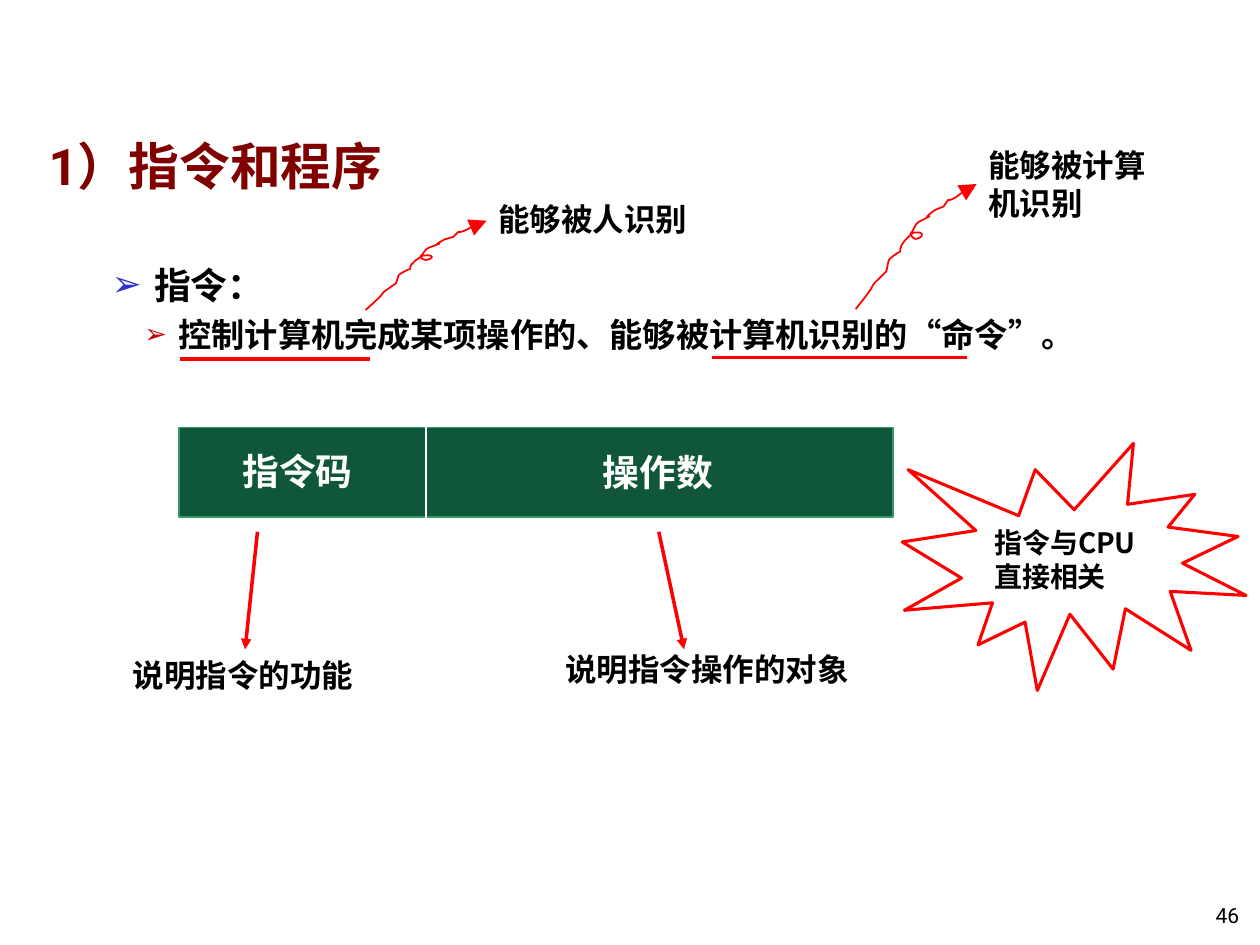
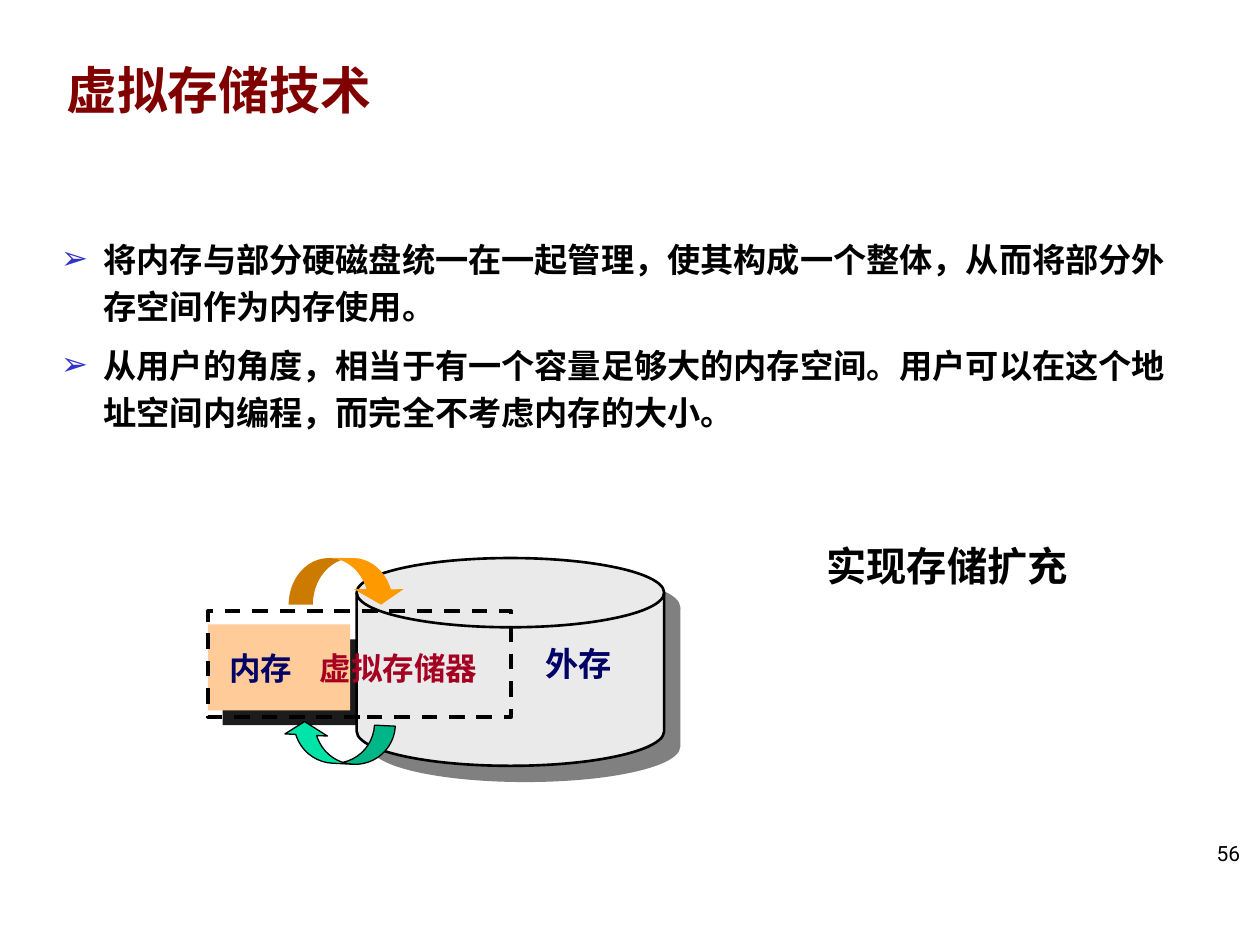
from lxml import etree
from pptx import Presentation
from pptx.dml.color import RGBColor
from pptx.enum.dml import MSO_LINE
from pptx.enum.shapes import MSO_CONNECTOR, MSO_SHAPE as Preset
from pptx.enum.text import MSO_ANCHOR as Anchor, PP_ALIGN as Align
from pptx.oxml.ns import qn
from pptx.util import Cm, Pt

COLORS = {
    "title": "800000", "text": "000000", "white": "FFFFFF", "red": "FF0000",
    "bullet": "3333CC", "sub_bullet": "C00000",
    "field": "105638", "field_edge": "339966",
    "memory": "FFCC99", "memory_shadow": "1C1C1C",
    "disk": "EAEAEA", "disk_shadow": "808080",
    "store_text": "000066", "virtual_text": "A50021",
    "swap_in": "FF9900", "swap_out": "00E4A8",
}
CJK, LATIN, QUOTE = "Noto Sans CJK SC", "Roboto", "Arial"

# Wavy arrow on a 95 x 100 grid: start, then control, control, end of each curve
WAVE_START = (0, 100)
WAVE_CURVES = [
    (4, 95, 8, 90, 12, 84), (13, 82, 14, 80, 15, 79), (18, 76, 24, 70, 24, 70),
    (25, 67, 25, 64, 26, 61), (27, 59, 33, 55, 35, 54), (35, 53, 35, 51, 36, 49),
    (39, 44, 41, 43, 45, 39), (47, 39, 51, 38, 52, 40), (53, 42, 49, 44, 47, 44),
    (45, 44, 44, 42, 43, 40), (46, 37, 46, 32, 50, 30), (69, 20, 46, 33, 62, 21),
    (64, 20, 67, 19, 69, 18), (76, 8, 69, 16, 78, 11), (81, 9, 83, 7, 85, 6),
    (87, 4, 90, 3, 92, 2),
]
WAVE_END = (95, 0)


def rgb(name):
    return RGBColor.from_string(COLORS[name])


def add_xml(parent, tag, **attributes):
    return etree.SubElement(parent, qn(tag), attributes)


# Text
def format_run(run, size, color, font=CJK, bold=True):
    run.font.size, run.font.bold, run.font.name = Pt(size), bold, font
    run.font.color.rgb = rgb(color)
    add_xml(run.font._element, "a:ea", typeface=CJK)


def fill_paragraph(paragraph, pieces, size, color="text", bold=True):
    """Pieces are (text, font) pairs, or one plain string."""
    if isinstance(pieces, str):
        pieces = [(pieces, CJK)]
    for text, font in pieces:
        run = paragraph.add_run()
        run.text = text
        format_run(run, size, color, font, bold)


def add_text(slide, box, pieces, size, color="text", align=Align.LEFT,
             anchor=Anchor.MIDDLE, bold=True, wrap=True):
    frame = slide.shapes.add_textbox(*map(Cm, box)).text_frame
    frame.word_wrap, frame.vertical_anchor = wrap, anchor
    fill_paragraph(frame.paragraphs[0], pieces, size, color, bold)
    frame.paragraphs[0].alignment = align


def add_title(slide, box, pieces):
    add_text(slide, box, pieces, 29, "title", anchor=Anchor.BOTTOM)


def add_page_number(slide, box, number):
    add_text(slide, box, [(number, LATIN)], 12, align=Align.RIGHT,
             anchor=Anchor.BOTTOM, bold=False)


def add_bullets(slide, box, items, gap=0):
    """Each item is (level, size, pieces)."""
    frame = slide.shapes.add_textbox(*map(Cm, box)).text_frame
    frame.word_wrap = True
    levels = [(0.86, 0.86, "bullet", 98), (1.35, 0.69, "sub_bullet", 81)]
    for index, (level, size, pieces) in enumerate(items):
        paragraph = frame.add_paragraph() if index else frame.paragraphs[0]
        margin, hanging, color, percent = levels[level]
        props = paragraph._p.get_or_add_pPr()
        props.set("marL", str(Cm(margin)))
        props.set("indent", str(-Cm(hanging)))
        add_xml(add_xml(props, "a:buClr"), "a:srgbClr", val=COLORS[color])
        add_xml(props, "a:buSzPct", val=str(percent * 1000))
        add_xml(props, "a:buFont", typeface=QUOTE)
        add_xml(props, "a:buChar", char="➢")
        paragraph.level = level
        paragraph.line_spacing = 1.2
        if index and gap:
            paragraph.space_before = Pt(gap)
        fill_paragraph(paragraph, pieces, size)


# Shapes and lines
def style_shape(shape, fill=None, line=None, width=1):
    shape.shadow.inherit = False
    if fill:
        shape.fill.solid()
        shape.fill.fore_color.rgb = rgb(fill)
    else:
        shape.fill.background()
    if line:
        shape.line.color.rgb = rgb(line)
        shape.line.width = Pt(width)
    else:
        shape.line.fill.background()
    return shape


def add_preset(slide, preset, box, fill=None, line=None, width=1):
    shape = slide.shapes.add_shape(preset, *map(Cm, box))
    return style_shape(shape, fill, line, width)


def add_hard_shadow(shape, color):
    effects = shape._element.spPr.find(qn("a:effectLst"))
    shadow = add_xml(effects, "a:outerShdw", blurRad="0", dist=str(Pt(12.1)),
                     dir=str(45 * 60000), algn="ctr", rotWithShape="0")
    add_xml(shadow, "a:srgbClr", val=COLORS[color])


def add_arrowhead(line, size="med"):
    add_xml(line.line._get_or_add_ln(), "a:tailEnd", type="triangle", w=size, len=size)


def add_line(slide, start, end, color="red", width=2):
    line = slide.shapes.add_connector(MSO_CONNECTOR.STRAIGHT, *map(Cm, start + end))
    line.line.color.rgb = rgb(color)
    line.line.width = Pt(width)
    add_xml(line._element.spPr, "a:effectLst")
    return line


def add_wavy_arrow(slide, left, top, width, height):
    scale = (Cm(width) / WAVE_END[0], Cm(height) / WAVE_START[1])
    builder = slide.shapes.build_freeform(*WAVE_START, scale=scale)
    builder.add_line_segments([curve[4:] for curve in WAVE_CURVES] + [WAVE_END],
                              close=False)
    wave = style_shape(builder.convert_to_shape(Cm(left), Cm(top)), line="red")
    wave.left, wave.top = Cm(left), Cm(top)
    # Bend every segment but the last
    segments = list(wave._element.iter(qn("a:lnTo")))
    for segment, (x1, y1, x2, y2, _, _) in zip(segments, WAVE_CURVES):
        bend = etree.Element(qn("a:cubicBezTo"))
        for x, y in ((x1, y1), (x2, y2)):
            add_xml(bend, "a:pt", x=str(x), y=str(y))
        bend.append(segment[0])
        segment.getparent().replace(segment, bend)
    add_arrowhead(wave, "lg")


def add_swap_arrow(slide, box, fill, line=None, rotation=0):
    arrow = add_preset(slide, Preset.CURVED_DOWN_ARROW, box, fill, line, 0.75)
    for index, value in enumerate((0.52, 1.06, 0.33)):
        arrow.adjustments[index] = value
    arrow.rotation = rotation


# Slides
def build_instruction_slide(slide):
    add_page_number(slide, (23.6, 17.56, 1.63, 1.27), "46")
    add_title(slide, (0.73, 1.71, 19.23, 2.36), [("1）", LATIN), ("指令和程序", CJK)])
    definition = [("控制计算机完成某项操作的、能够被计算机识别的", CJK), ("“", QUOTE),
                  ("命令", CJK), ("”", QUOTE), ("。", CJK)]
    add_bullets(slide, (2, 4.99, 21.31, 11.07),
                [(0, 21, "指令："), (1, 19, definition)])

    # Underlined phrases and their remarks
    for left, right, y in ((3.62, 7.45, 7.24), (14.36, 19.49, 7.21)):
        add_line(slide, (left, y), (right, y))
    add_wavy_arrow(slide, 7.37, 4.45, 2.44, 1.8)
    add_text(slide, (9.8, 3.91, 4.72, 1.02), "能够被人识别", 18)
    add_wavy_arrow(slide, 17.25, 3.71, 2.44, 2.52)
    add_text(slide, (19.67, 2.82, 3.96, 1.78), "能够被计算机识别", 18)

    # Burst about the processor
    burst = add_preset(slide, Preset.EXPLOSION1, (18.19, 8.94, 6.93, 4.98),
                       line="red", width=1.75)
    burst.text_frame.word_wrap = True
    burst.text_frame.vertical_anchor = Anchor.MIDDLE
    burst.text_frame.margin_left, burst.text_frame.margin_right = Cm(0.37), Cm(0.1)
    remark = burst.text_frame.paragraphs[0]
    remark.alignment = Align.LEFT
    fill_paragraph(remark, "指令与CPU直接相关", 16)

    # Instruction format
    add_preset(slide, Preset.RECTANGLE, (3.61, 8.62, 14.4, 1.8), "field", "field_edge")
    add_text(slide, (4.31, 8.92, 3.38, 1.14), "指令码", 21, "white", Align.CENTER)
    add_text(slide, (10.72, 8.94, 5.08, 1.14), "操作数", 21, "white", Align.CENTER)
    add_line(slide, (8.59, 8.61), (8.59, 10.44), "white", 1)

    # What each field says
    add_text(slide, (2, 13.09, 5.79, 1.02), "说明指令的功能", 18, align=Align.CENTER)
    add_text(slide, (10.19, 12.98, 8.13, 1.02), "说明指令操作的对象", 18,
             align=Align.CENTER)
    for start, end in (((5.19, 10.72), (4.94, 13.09)), ((13.28, 10.72), (13.79, 13.09))):
        add_arrowhead(add_line(slide, start, end))


def build_virtual_memory_slide(slide):
    add_title(slide, (1.09, 0.84, 21.64, 1.7), "虚拟存储技术")
    points = [
        "将内存与部分硬磁盘统一在一起管理，使其构成一个整体，从而将部分外存空间作为内存使用。",
        "从用户的角度，相当于有一个容量足够大的内存空间。用户可以在这个地址空间内编程，而完全不考虑内存的大小。",
    ]
    add_bullets(slide, (0.98, 4.53, 23.29, 6.38),
                [(0, 19, point) for point in points], gap=5.9)

    # Memory, disk and the virtual store spanning both
    memory = add_preset(slide, Preset.RECTANGLE, (4.19, 12.59, 2.87, 1.73), "memory")
    add_hard_shadow(memory, "memory_shadow")
    disk = add_preset(slide, Preset.FLOWCHART_MAGNETIC_DISK, (7.19, 11.25, 6.2, 4.19),
                      "disk", "text", 1.5)
    add_hard_shadow(disk, "disk_shadow")
    virtual = add_preset(slide, Preset.RECTANGLE, (4.19, 12.32, 6.12, 2.13),
                         line="text", width=2.25)
    virtual.line.dash_style = MSO_LINE.DASH
    add_text(slide, (6.2, 12.95, 3.68, 1.02), "虚拟存储器", 18, "virtual_text", wrap=False)
    add_swap_arrow(slide, (5.82, 11.25, 2.36, 0.94), "swap_in")
    add_text(slide, (4.37, 12.95, 1.9, 1.02), "内存", 18, "store_text")
    add_text(slide, (10.74, 12.83, 2.26, 1.07), "外存", 19, "store_text")
    add_swap_arrow(slide, (5.69, 14.58, 2.26, 0.81), "swap_out", "text", 182.9)

    add_text(slide, (16.15, 10.79, 5.89, 1.22), "实现存储扩充", 23, align=Align.CENTER)
    add_page_number(slide, (23.7, 16.48, 1.55, 1.09), "56")


def main():
    deck = Presentation()
    deck.slide_width, deck.slide_height = Cm(25.4), Cm(19.05)
    for build in (build_instruction_slide, build_virtual_memory_slide):
        build(deck.slides.add_slide(deck.slide_layouts[6]))
    deck.save("out.pptx")


if __name__ == "__main__":
    main()
